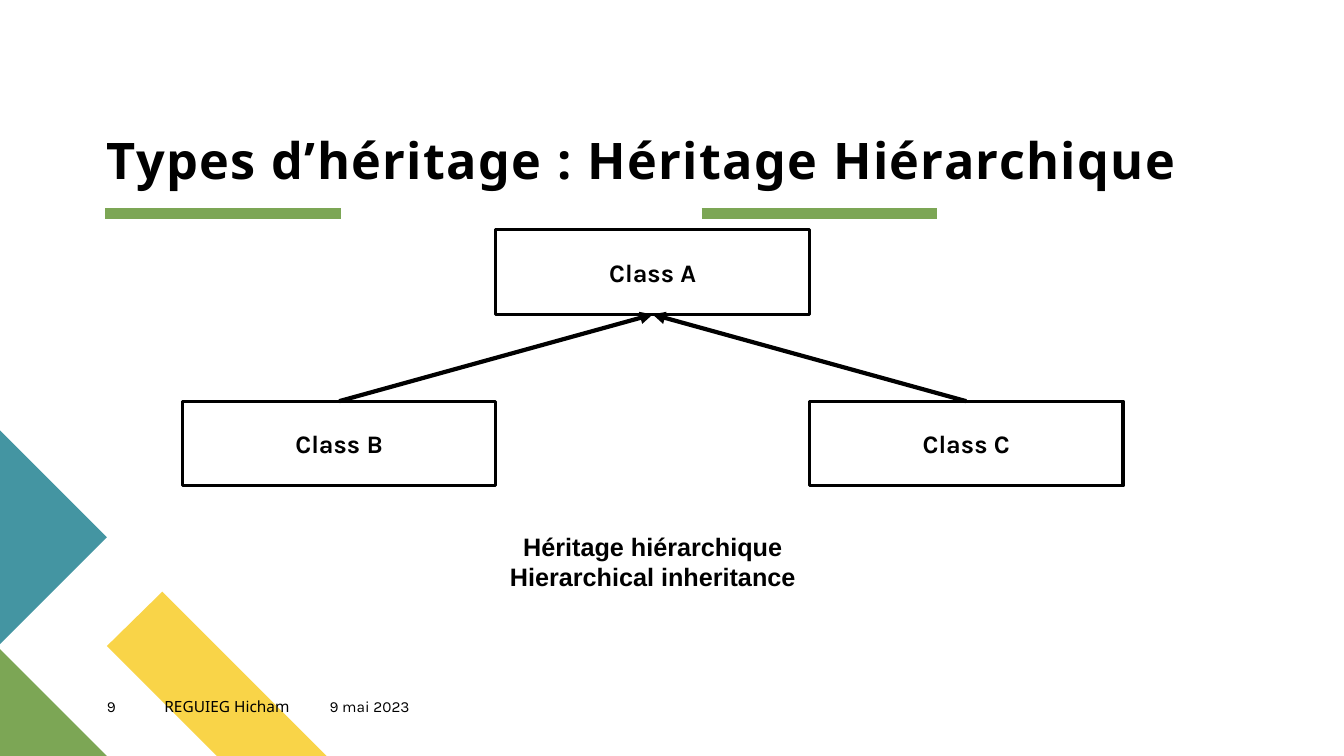
"""Build the slide on hierarchical inheritance."""
from dataclasses import dataclass
from typing import Any

from lxml.etree import SubElement
from pptx import Presentation
from pptx.dml.color import RGBColor
from pptx.enum.shapes import MSO_CONNECTOR, MSO_SHAPE
from pptx.enum.text import MSO_ANCHOR, MSO_AUTO_SIZE, PP_ALIGN
from pptx.oxml.ns import qn
from pptx.util import Inches, Pt

SLIDE_WIDTH = Inches(13.333)
SLIDE_HEIGHT = Inches(7.5)


@dataclass(frozen=True)
class Theme:
    ink: str = "000000"
    green: str = "7CA655"
    yellow: str = "F9D448"
    teal: str = "4495A2"
    title_size: float = 36
    body_size: float = 18
    footer_size: float = 11
    accent_line: float = 8
    box_line: float = 2.25
    arrow_line: float = 3
    heading_font: str = "Noto Sans"
    body_font: str = "Karla"
    caption_font: str = "Arial"


THEME = Theme()


@dataclass(frozen=True)
class Area:
    """A rectangle in percent of the slide's width and height."""
    left: float
    top: float
    width: float
    height: float

    def lengths(self) -> tuple[int, int, int, int]:
        return (across(self.left), down(self.top), across(self.width), down(self.height))


@dataclass(frozen=True)
class Label:
    lines: tuple[str, ...]
    area: Area
    font: str
    size: float
    bold: bool = False
    letter_spacing: float = 0
    frame: tuple[tuple[str, Any], ...] = ()
    alignment: PP_ALIGN = PP_ALIGN.LEFT


@dataclass(frozen=True)
class ClassBox:
    name: str
    column: int
    row: int
    parent: str = ""


@dataclass(frozen=True)
class Decoration:
    color: str
    points: tuple[tuple[float, float], ...]


FLUSH = (("margin_left", 0), ("margin_top", 0), ("margin_right", 0),
         ("margin_bottom", 0), ("word_wrap", True))

DECORATIONS = (
    Decoration(THEME.yellow, ((24.3, 100), (16.13, 100), (7.95, 85.47), (12.08, 78.27))),
    Decoration(THEME.green, ((7.95, 100), (0, 100), (0, 85.87))),
    Decoration(THEME.teal, ((0, 56.93), (7.95, 71.07), (0, 85.2))),
)

ACCENT_STARTS = (7.85, 52.2)
ACCENT_TOP = 28.27
ACCENT_WIDTH = 17.5

CLASS_GRID = Area(13.57, 30.4, 23.33, 11.2)
CLASS_ROW_STEP = 22.67
CLASS_BOXES = (
    ClassBox("Class A", 1, 0),
    ClassBox("Class B", 0, 1, "Class A"),
    ClassBox("Class C", 2, 1, "Class A"),
)


def footer(text: str, left: float, width: float, font: str) -> Label:
    return Label((text,), Area(left, 92.27, width, 3.6), font, THEME.footer_size, frame=FLUSH)


LABELS = (
    Label(("Types d’héritage : Héritage Hiérarchique",), Area(7.95, 4, 85.73, 21.07),
          THEME.heading_font, THEME.title_size, True, 1,
          FLUSH + (("vertical_anchor", MSO_ANCHOR.BOTTOM),)),
    footer("9", 7.95, 4.28, THEME.body_font),
    footer("REGUIEG Hicham", 12.23, 12.3, THEME.heading_font),
    footer("9 mai 2023", 24.53, 10.8, THEME.body_font),
    Label(("Héritage hiérarchique", "Hierarchical inheritance"),
          Area(36.83, 69.6, 23.48, 9.47), THEME.caption_font, THEME.body_size, True,
          frame=(("word_wrap", False), ("auto_size", MSO_AUTO_SIZE.SHAPE_TO_FIT_TEXT)),
          alignment=PP_ALIGN.CENTER),
)


def across(percent: float) -> int:
    return round(SLIDE_WIDTH * percent / 100)


def down(percent: float) -> int:
    return round(SLIDE_HEIGHT * percent / 100)


def apply_format(target: Any, values: dict[str, Any]) -> None:
    for name, value in values.items():
        setattr(target, name, value)


def write_label(shape: Any, label: Label) -> None:
    text_frame = shape.text_frame
    apply_format(text_frame, dict(label.frame))
    text_frame.text = "\n".join(label.lines)
    for paragraph in text_frame.paragraphs:
        paragraph.alignment = label.alignment
        for run in paragraph.runs:
            apply_format(run.font, {"name": label.font, "size": Pt(label.size),
                                    "bold": label.bold})
            run.font.color.rgb = RGBColor.from_string(THEME.ink)
            if label.letter_spacing:
                run._r.get_or_add_rPr().set("spc", str(round(label.letter_spacing * 100)))


def draw_decoration(slide: Any, decoration: Decoration) -> None:
    points = [(across(x), down(y)) for x, y in decoration.points]
    builder = slide.shapes.build_freeform(*points[0], scale=1.0)
    builder.add_line_segments(points[1:], close=True)
    shape = builder.convert_to_shape()
    shape.shadow.inherit = False
    shape.fill.solid()
    shape.fill.fore_color.rgb = RGBColor.from_string(decoration.color)
    shape.line.fill.background()


def draw_line(slide: Any, ends: tuple[int, int, int, int], color: str, width: float) -> Any:
    connector = slide.shapes.add_connector(MSO_CONNECTOR.STRAIGHT, *ends)
    connector.line.color.rgb = RGBColor.from_string(color)
    connector.line.width = Pt(width)
    SubElement(connector._element.spPr, qn("a:effectLst"))
    return connector


def draw_class_box(slide: Any, box: ClassBox) -> Any:
    area = Area(CLASS_GRID.left + box.column * CLASS_GRID.width,
                CLASS_GRID.top + box.row * CLASS_ROW_STEP,
                CLASS_GRID.width, CLASS_GRID.height)
    shape = slide.shapes.add_shape(MSO_SHAPE.RECTANGLE, *area.lengths())
    shape.shadow.inherit = False
    shape.fill.background()
    shape.line.color.rgb = RGBColor.from_string(THEME.ink)
    shape.line.width = Pt(THEME.box_line)
    write_label(shape, Label((box.name,), area, THEME.body_font, THEME.body_size, True,
                             frame=(("vertical_anchor", MSO_ANCHOR.MIDDLE),),
                             alignment=PP_ALIGN.CENTER))
    return shape


def draw_inheritance(slide: Any, child: Any, parent: Any) -> None:
    arrow = draw_line(slide, (0, 0, 0, 0), THEME.ink, THEME.arrow_line)
    arrow.begin_connect(child, 0)
    arrow.end_connect(parent, 2)
    SubElement(arrow.line._get_or_add_ln(), qn("a:tailEnd"), type="triangle")


def main() -> None:
    presentation = Presentation()
    apply_format(presentation, {"slide_width": SLIDE_WIDTH, "slide_height": SLIDE_HEIGHT})
    slide = presentation.slides.add_slide(presentation.slide_layouts[6])
    for decoration in DECORATIONS:
        draw_decoration(slide, decoration)
    for start in ACCENT_STARTS:
        ends = (across(start), down(ACCENT_TOP), across(start + ACCENT_WIDTH), down(ACCENT_TOP))
        draw_line(slide, ends, THEME.green, THEME.accent_line)
    for label in LABELS:
        write_label(slide.shapes.add_textbox(*label.area.lengths()), label)
    shapes = {box.name: draw_class_box(slide, box) for box in CLASS_BOXES}
    for box in CLASS_BOXES:
        if box.parent:
            draw_inheritance(slide, shapes[box.name], shapes[box.parent])
    presentation.save("out.pptx")


if __name__ == "__main__":
    main()
